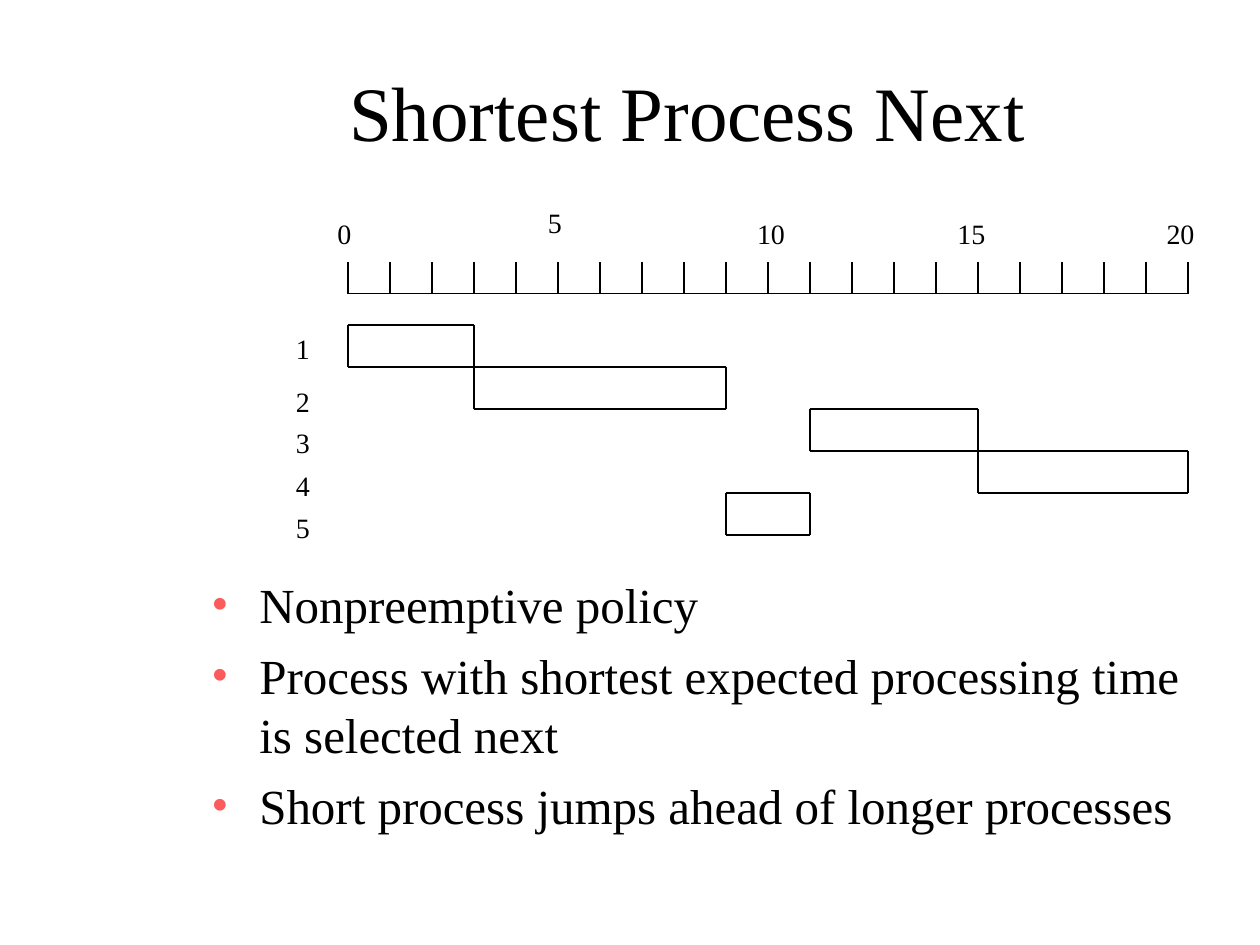
from lxml import etree
from pptx import Presentation
from pptx.dml.color import RGBColor
from pptx.enum.shapes import MSO_CONNECTOR
from pptx.enum.text import MSO_ANCHOR, PP_ALIGN
from pptx.oxml.ns import qn
from pptx.util import Inches, Pt

STRAIGHT = MSO_CONNECTOR.STRAIGHT
TOP, MIDDLE, BOTTOM = MSO_ANCHOR.TOP, MSO_ANCHOR.MIDDLE, MSO_ANCHOR.BOTTOM
LEFT, CENTER = PP_ALIGN.LEFT, PP_ALIGN.CENTER

FONT = "Times New Roman"
COLORS = {"ink": "000000", "bullet": "FB5B5B"}
AXIS_X, UNIT, UNITS = 2.76, 1 / 3, 20
TICK_TOP, AXIS_Y = 2.08, 2.33
ROW_TOP, ROW_HEIGHT = 2.58, 1 / 3

AXIS_LABELS = [("0", 2.58, 1.67), ("5", 4.25, 1.58), ("10", 5.91, 1.67),
               ("15", 7.5, 1.67), ("20", 9.16, 1.67)]
PROCESS_LABELS = [("1", 2.58), ("2", 3), ("3", 3.33), ("4", 3.67), ("5", 4)]
RUN_TIMES = [(0, 3), (3, 9), (11, 15), (15, 20), (9, 11)]
POINTS = [
    "Nonpreemptive policy",
    "Process with shortest expected processing time is selected next",
    "Short process jumps ahead of longer processes",
]


def add_bullet(p, indent=0.38):
    """Give a paragraph a coloured bullet with a hanging indent."""
    pPr = p._p.get_or_add_pPr()
    pPr.set("marL", str(Inches(indent)))
    pPr.set("indent", str(-Inches(indent)))
    color = etree.SubElement(pPr, qn("a:buClr"))
    etree.SubElement(color, qn("a:srgbClr"), val=COLORS["bullet"])
    etree.SubElement(pPr, qn("a:buFont"), typeface=FONT)
    etree.SubElement(pPr, qn("a:buChar"), char="•")


def add_text(s, text, x, y, w, h, size=16, align=LEFT, anchor=TOP, wrap=True,
             bullets=False, line_spacing=None, space_before=0):
    """Add a text box with one paragraph per line of text."""
    tf = s.shapes.add_textbox(Inches(x), Inches(y), Inches(w), Inches(h)).text_frame
    tf.word_wrap = wrap
    tf.vertical_anchor = anchor
    for i, line in enumerate(text.split("\n")):
        p = tf.add_paragraph() if i else tf.paragraphs[0]
        p.alignment = align
        if line_spacing:
            p.line_spacing = Pt(line_spacing)
        if i and space_before:
            p.space_before = Pt(space_before)
        if bullets:
            add_bullet(p)
        r = p.add_run()
        r.text = line
        r.font.name = FONT
        r.font.size = Pt(size)
        r.font.color.rgb = RGBColor.from_string(COLORS["ink"])


def add_line(s, x1, y1, x2, y2):
    """Add a thin straight line."""
    line = s.shapes.add_connector(STRAIGHT, Inches(x1), Inches(y1), Inches(x2), Inches(y2))
    line.line.color.rgb = RGBColor.from_string(COLORS["ink"])
    line.line.width = Pt(1)
    etree.SubElement(line._element.spPr, qn("a:effectLst"))


def time_x(time):
    """Return the horizontal place of a time on the axis."""
    return AXIS_X + time * UNIT


def add_axis(s):
    """Add the time axis with its ticks and labels."""
    add_line(s, time_x(0), AXIS_Y, time_x(UNITS), AXIS_Y)
    for time in range(UNITS + 1):
        add_line(s, time_x(time), AXIS_Y, time_x(time), TICK_TOP)
    for text, x, y in AXIS_LABELS:
        add_text(s, text, x, y, 0.2 + 0.11 * len(text), 0.36, wrap=False)


def add_bar(s, row, start, end):
    """Outline the run time of one process."""
    left, right = time_x(start), time_x(end)
    top = ROW_TOP + row * ROW_HEIGHT
    bottom = top + ROW_HEIGHT
    for x in (left, right):
        add_line(s, x, top, x, bottom)
    for y in (top, bottom):
        add_line(s, left, y, right, y)


def main():
    """Build and save the slide."""
    prs = Presentation()
    prs.slide_width, prs.slide_height = Inches(10), Inches(7.5)
    s = prs.slides.add_slide(prs.slide_layouts[6])
    add_text(s, "Shortest Process Next", 1.58, 0.25, 7.75, 1.25, size=44,
             align=CENTER, anchor=MIDDLE)
    add_text(s, "\n".join(POINTS), 1.58, 1.67, 7.92, 5, size=28, anchor=BOTTOM,
             bullets=True, line_spacing=33.6, space_before=7)
    add_axis(s)
    for row, (start, end) in enumerate(RUN_TIMES):
        add_bar(s, row, start, end)
    for text, y in PROCESS_LABELS:
        add_text(s, text, 2.25, y, 0.31, 0.36, wrap=False)
    prs.save("out.pptx")


if __name__ == "__main__":
    main()
